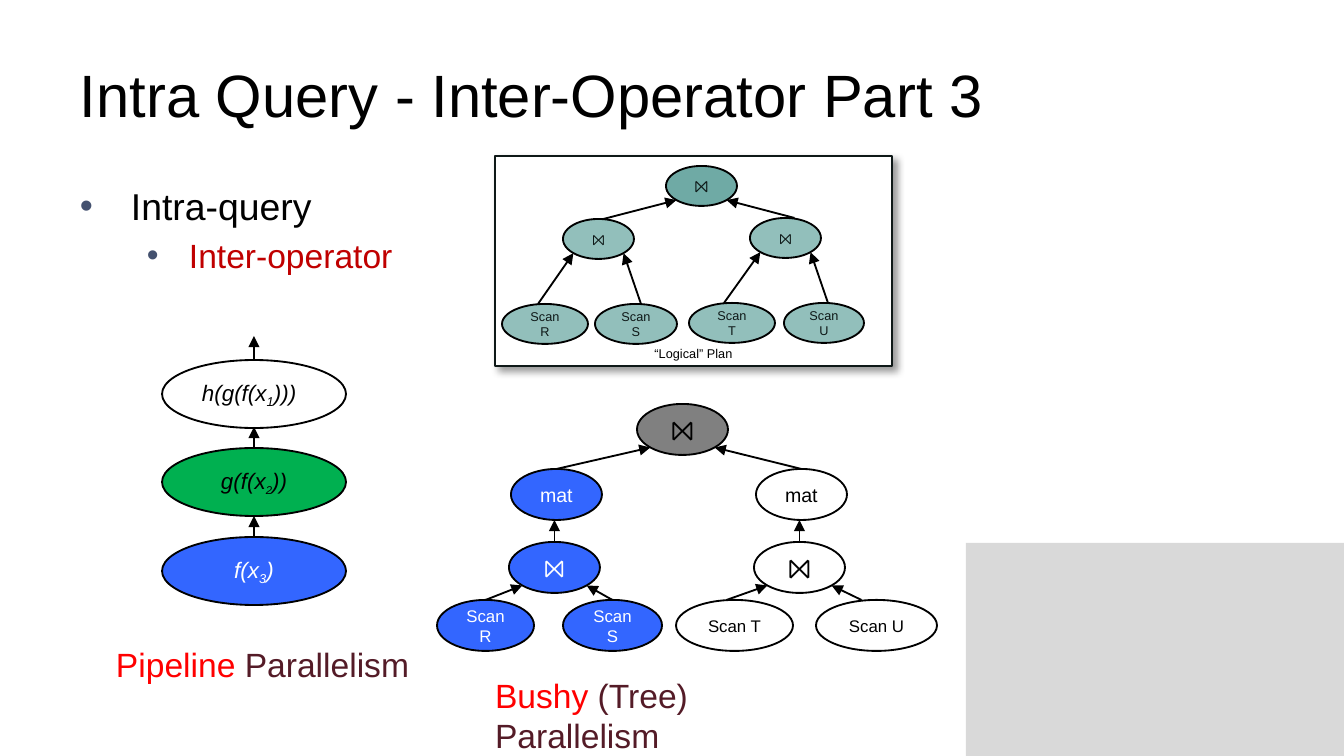
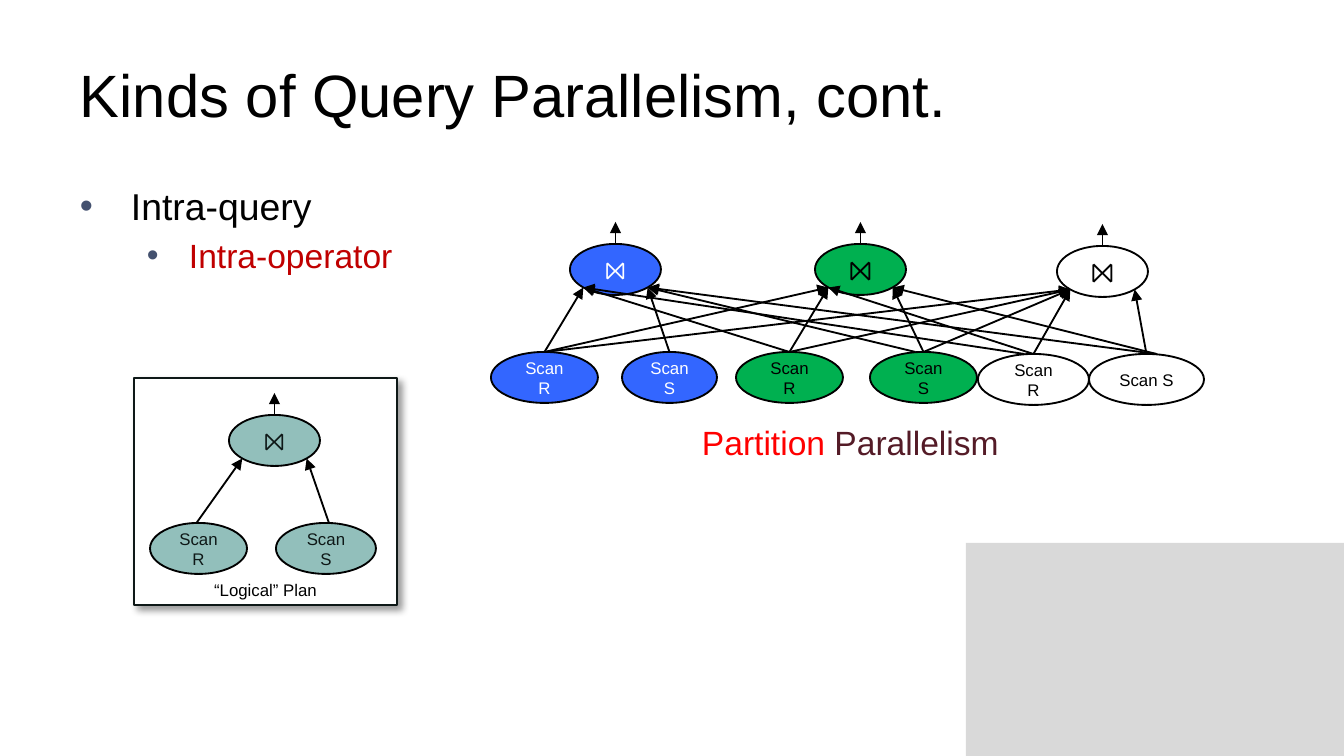
"""Build two slides on kinds of query parallelism."""
import collections

import lxml.etree
import pptx
import pptx.dml.color
import pptx.enum.shapes
import pptx.enum.text
import pptx.oxml.ns
import pptx.util

SCALE = 914400 / 134.4
FONT = "Arial"
BLACK, WHITE, INK = "000000", "FFFFFF", "0E1817"
BLUE, GREEN, TEAL = "3366FF", "00B050", "92BFBB"
RED, MAROON, TITLE_RED, BULLET = "FF0000", "541B27", "C00000", "44516F"
JOIN = "⨝"
NODE_W, NODE_H = 91, 51
DIAGONAL = 0.1464

SHAPES = pptx.enum.shapes.MSO_SHAPE
ANCHOR = pptx.enum.text.MSO_ANCHOR
ALIGN = pptx.enum.text.PP_ALIGN

Run = collections.namedtuple("Run", "text color size italic base", defaults=(False, 0))
Style = collections.namedtuple("Style", "fill ink join_pt scan_pt w h inset",
                               defaults=(9, NODE_W, NODE_H, 13))
Scan = collections.namedtuple("Scan", "label x w dx", defaults=(0,))

BLUE_PLAN = Style(BLUE, WHITE, 13.5)
GREEN_PLAN = Style(GREEN, BLACK, 15)
WHITE_PLAN = Style(WHITE, BLACK, 15)
LOGICAL = Style(TEAL, INK, 13.5)
SMALL_LOGICAL = Style(TEAL, INK, 8.2, 6.8, 71, 40, 11)


def px(n):
    """Turn px into EMU."""
    return pptx.util.Emu(round(n * SCALE))


def rgb(value):
    """Turn a hex string into a colour."""
    return pptx.dml.color.RGBColor.from_string(value)


def sub(parent, tag, **attrs):
    """Append an XML child with attributes."""
    return lxml.etree.SubElement(parent, pptx.oxml.ns.qn(tag), attrs)


def add_runs(p, runs):
    """Add formatted runs to a paragraph."""
    for run in runs:
        r = p.add_run()
        r.text = run.text
        r.font.name = FONT
        r.font.size = pptx.util.Pt(run.size)
        r.font.color.rgb = rgb(run.color)
        if run.italic:
            r.font.italic = True
        if run.base:
            r._r.get_or_add_rPr().set("baseline", str(run.base * 1000))


def frame(sp, anchor, left=13, top=7, right=13, bottom=7):
    """Set up wrapping, anchor and insets, and return the text frame."""
    tf = sp.text_frame
    tf.word_wrap = True
    tf.vertical_anchor = anchor
    tf.margin_left, tf.margin_top = px(left), px(top)
    tf.margin_right, tf.margin_bottom = px(right), px(bottom)
    return tf


def add_box(s, kind, x, y, w, h, fill, line=None):
    """Add a filled shape with an optional thin outline."""
    sp = s.shapes.add_shape(kind, px(x), px(y), px(w), px(h))
    sp.shadow.inherit = False
    sp.fill.solid()
    sp.fill.fore_color.rgb = rgb(fill)
    if line:
        sp.line.color.rgb = rgb(line)
        sp.line.width = pptx.util.Pt(1)
    else:
        sp.line.fill.background()
    return sp


def add_node(s, x, y, w, h, fill, runs, inset=13, align=ALIGN.CENTER):
    """Add an operator ellipse."""
    sp = add_box(s, SHAPES.OVAL, x, y, w, h, fill, BLACK)
    p = frame(sp, ANCHOR.MIDDLE, inset, 7, inset, 7).paragraphs[0]
    p.alignment = align
    add_runs(p, runs)
    return sp


def add_arrow(s, node, x, y, dx=0):
    """Draw an arrow from the top of a node to a point in EMU."""
    start = node.left + node.width // 2 + px(dx)
    c = s.shapes.add_connector(pptx.enum.shapes.MSO_CONNECTOR.STRAIGHT,
                               start, node.top, x, y)
    if not dx:
        c.begin_connect(node, 0)
    c.line.color.rgb = rgb(BLACK)
    c.line.width = pptx.util.Pt(1)
    sub(c.line._get_or_add_ln(), "a:tailEnd", type="triangle")
    sub(c._element.spPr, "a:effectLst")


def feed(s, child, parent, side, dx=0):
    """Draw an arrow from a child to the lower left or right of its parent."""
    share = DIAGONAL if side == "left" else 1 - DIAGONAL
    x = parent.left + round(parent.width * share)
    y = parent.top + round(parent.height * (1 - DIAGONAL))
    add_arrow(s, child, x, y, dx)


def lift(s, node, rise=22):
    """Draw an arrow straight up from a node."""
    add_arrow(s, node, node.left + node.width // 2, node.top - px(rise))


def add_join(s, x, y, style):
    """Add a join operator."""
    return add_node(s, x, y, style.w, style.h, style.fill,
                    [Run(JOIN, style.ink, style.join_pt)], style.inset)


def join_tree(s, x, y, scan_y, scans, style):
    """Add a join fed by two scans and return the three nodes."""
    join = add_join(s, x, y, style)
    nodes = [join]
    for scan, side in zip(scans, ("left", "right")):
        node = add_node(s, scan.x, scan_y, scan.w, style.h, style.fill,
                        [Run("Scan " + scan.label, style.ink, style.scan_pt)], style.inset)
        feed(s, node, join, side, scan.dx)
        nodes.append(node)
    return nodes


def add_plan_panel(s, x, y, w, h, size):
    """Add the shadowed panel that holds the logical plan."""
    sp = add_box(s, SHAPES.RECTANGLE, x, y, w, h, WHITE, INK)
    effects = sp._element.spPr.find(pptx.oxml.ns.qn("a:effectLst"))
    shadow = sub(effects, "a:outerShdw", blurRad="50800", dist="38100",
                 dir="2700000", algn="tl", rotWithShape="0")
    sub(sub(shadow, "a:srgbClr", val=BLACK), "a:alpha", val="40000")
    p = frame(sp, ANCHOR.BOTTOM, 9, 5, 9, 5).paragraphs[0]
    p.alignment = ALIGN.CENTER
    add_runs(p, [Run("“Logical” Plan", BLACK, size)])


def add_caption(s, x, y, w, word, rest):
    """Add a two-coloured diagram caption."""
    sp = s.shapes.add_textbox(px(x), px(y), px(w), px(53))
    tf = frame(sp, ANCHOR.TOP, right=8)
    add_runs(tf.paragraphs[0], [Run(word, RED, 18), Run(rest, MAROON, 18)])


def add_bullet(p, text, color, size, level, margin, hang):
    """Fill a paragraph as a bullet."""
    p.level = level
    p.space_before = pptx.util.Pt(size * 0.2)
    pPr = p._p.get_or_add_pPr()
    pPr.set("marL", str(px(margin)))
    pPr.set("indent", str(-px(hang)))
    sub(sub(pPr, "a:buClr"), "a:srgbClr", val=BULLET)
    sub(pPr, "a:buFont", typeface=FONT)
    sub(pPr, "a:buChar", char="•")
    add_runs(p, [Run(text, color, size)])


def add_slide(prs, title, kind):
    """Add a slide with the corner block, title and two bullets."""
    s = prs.slides.add_slide(prs.slide_layouts[6])
    add_box(s, SHAPES.RECTANGLE, 966, 543, 378, 213, "D9D9D9")
    sp = s.shapes.add_textbox(px(67), px(31), px(1210), px(126))
    add_runs(frame(sp, ANCHOR.MIDDLE).paragraphs[0], [Run(title, BLACK, 32)])
    sp = s.shapes.add_textbox(px(67), px(176), px(1210), px(499))
    tf = frame(sp, ANCHOR.TOP)
    add_bullet(tf.paragraphs[0], "Intra-query", BLACK, 20, 0, 51, 51)
    add_bullet(tf.add_paragraph(), kind, TITLE_RED, 18, 1, 109, 42)
    return s


def add_pipeline(s):
    """Draw the three chained function calls."""
    stages = [("h(g(f(x", "1", ")))", WHITE, BLACK, 12, ALIGN.LEFT, 24),
              ("g(f(x", "2", "))", GREEN, BLACK, 10.5, ALIGN.CENTER, 21),
              ("f(x", "3", ")", BLUE, WHITE, 12, ALIGN.CENTER, 21)]
    for i, (head, index, tail, fill, ink, index_pt, align, rise) in enumerate(stages):
        runs = [Run(head, ink, 12, True), Run(index, ink, index_pt, True, -25),
                Run(tail, ink, 12, True)]
        node = add_node(s, 162, 360 + 177 * i // 2, 184, 68, fill, runs, align=align)
        lift(s, node, rise)
    add_caption(s, 103, 637, 320, "Pipeline", " Parallelism")


def add_bushy(s):
    """Draw the bushy tree with materialised inputs."""
    root = add_join(s, 637, 404, WHITE_PLAN._replace(fill="808080"))
    branches = [
        (509, [Scan("R", 437, 97), Scan("S", 563, 99)], BLUE_PLAN, "left"),
        (754, [Scan("T", 676, 117, -8), Scan("U", 816, 121, -15)], WHITE_PLAN, "right")]
    for x, scans, style, side in branches:
        join = join_tree(s, x, 542, 600, scans, style)[0]
        mat = add_node(s, x + 2, 469, NODE_W, NODE_H, style.fill,
                       [Run("mat", style.ink, 10.5)])
        lift(s, join)
        feed(s, mat, root, side)
    add_caption(s, 482, 668, 386, "Bushy", " (Tree) Parallelism")


def add_small_plan(s):
    """Draw the logical plan of four scans."""
    add_plan_panel(s, 495, 156, 397, 210, 6.8)
    root = add_join(s, 666, 166, SMALL_LOGICAL._replace(fill="6FAAA5", join_pt=9))
    branches = [
        (563, 219, [Scan("R", 502, 86, -7), Scan("S", 595, 82, 5)], "left", 5),
        (750, 218, [Scan("T", 689, 86, -8), Scan("U", 784, 80, 4)], "right", 9)]
    for x, y, scans, side, dx in branches:
        join = join_tree(s, x, y, y + 85, scans, SMALL_LOGICAL)[0]
        feed(s, join, root, side, dx)


def add_partitions(s):
    """Draw three partitions that exchange their scans."""
    blue, green, white = [
        join_tree(s, x, y, y + 108, scans, style) for x, y, scans, style in [
            (570, 244, [Scan("R", 491, 107), Scan("S", 622, 95)], BLUE_PLAN),
            (815, 244, [Scan("R", 736, 107), Scan("S", 870, 107)], GREEN_PLAN),
            (1057, 246, [Scan("R", 978, 111), Scan("S", 1089, 115)], WHITE_PLAN)]]
    for tree in (blue, green, white):
        lift(s, tree[0])
    exchanges = [
        (blue[1], white, "left", 0), (blue[1], green, "left", 0),
        (green[1], white, "left", 0), (green[1], blue, "left", 0),
        (green[2], blue, "right", -8), (green[2], white, "left", 0),
        (white[1], green, "left", 0), (white[1], blue, "left", -9),
        (white[2], green, "right", 10), (white[2], blue, "right", 10)]
    for scan, tree, side, dx in exchanges:
        feed(s, scan, tree[0], side, dx)
    add_caption(s, 689, 415, 327, "Partition", " Parallelism")


def main():
    """Build and save the deck."""
    prs = pptx.Presentation()
    prs.slide_width, prs.slide_height = px(1344), px(756)

    s = add_slide(prs, "Intra Query - Inter-Operator Part 3", "Inter-operator")
    add_bushy(s)
    add_pipeline(s)
    add_small_plan(s)

    s = add_slide(prs, "Kinds of Query Parallelism, cont.", "Intra-operator")
    add_partitions(s)
    add_plan_panel(s, 134, 378, 263, 227, 9)
    scans = [Scan("R", 150, 97, -2), Scan("S", 276, 100, 3)]
    lift(s, join_tree(s, 229, 415, 523, scans, LOGICAL)[0])

    prs.save("out.pptx")


if __name__ == "__main__":
    main()
